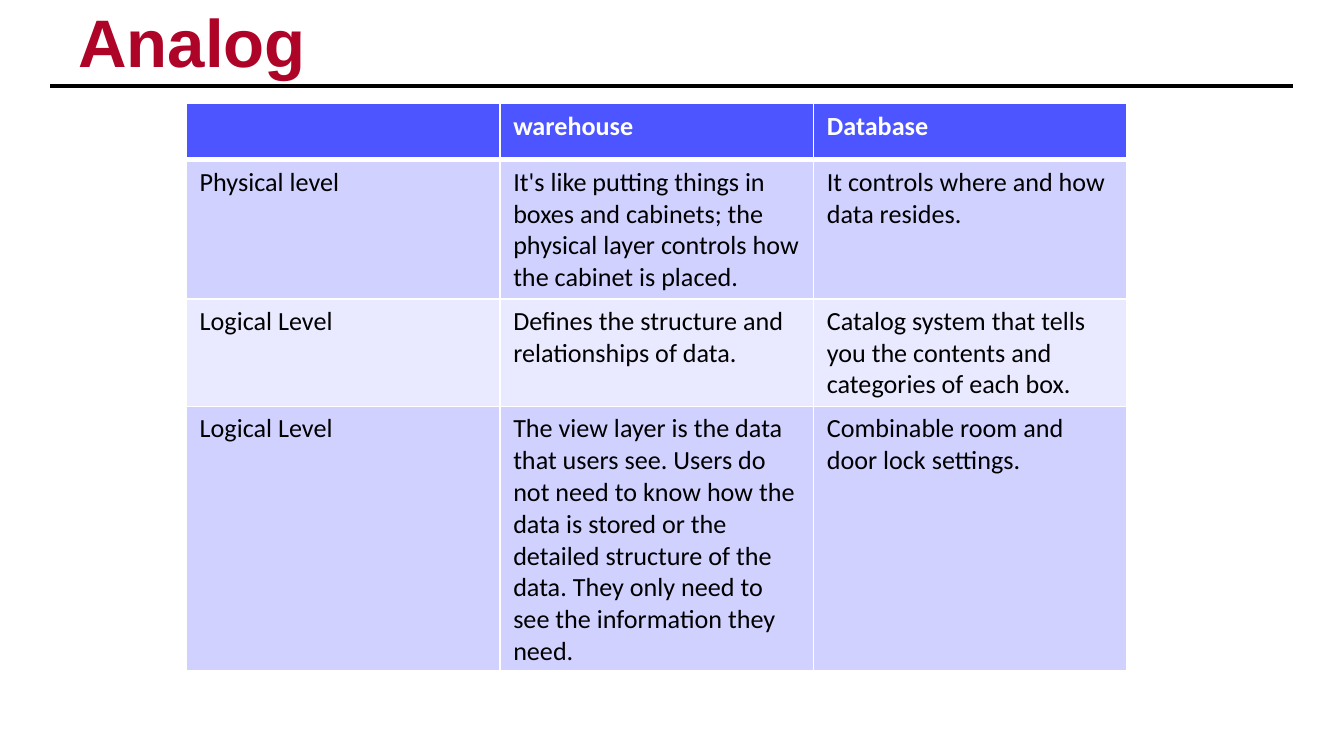
from lxml import etree
from pptx import Presentation
from pptx.dml.color import RGBColor
from pptx.enum import shapes, text
from pptx.oxml import ns
from pptx.util import Cm, Pt

HEADER_FILL = "4C55FF"
BAND_FILLS = ("D0D1FF", "E9E9FF")
ROWS = [
    ("", "warehouse", "Database"),
    ("Physical level",
     "It's like putting things in boxes and cabinets; the physical layer controls how the cabinet is placed.",
     "It controls where and how data resides."),
    ("Logical Level",
     "Defines the structure and relationships of data.",
     "Catalog system that tells you the contents and categories of each box."),
    ("Logical Level",
     "The view layer is the data that users see. Users do not need to know how the data is stored "
     "or the detailed structure of the data. They only need to see the information they need.",
     "Combinable room and door lock settings."),
]


def color(value):
    """Turn a hex string into a colour."""
    return RGBColor.from_string(value)


def write_text(frame, content, font="Calibri", size=14, fill="000000", bold=False, spacing=None):
    """Write one formatted paragraph into a text frame."""
    paragraph = frame.paragraphs[0]
    paragraph.line_spacing = spacing
    paragraph.font.size = Pt(size)
    if content:
        run = paragraph.add_run()
        run.text = content
        run.font.name = font
        run.font.size = Pt(size)
        run.font.bold = bold
        run.font.color.rgb = color(fill)


def add_title(slide, content):
    """Add the slide heading."""
    box = slide.shapes.add_textbox(Cm(1.4), Cm(0.25), Cm(22.63), Cm(1.25))
    frame = box.text_frame
    frame.word_wrap = True
    frame.vertical_anchor = text.MSO_ANCHOR.BOTTOM
    frame.margin_left = frame.margin_right = frame.margin_top = Cm(0.08)
    frame.margin_bottom = 0
    write_text(frame, content, font="Arial", size=36, fill="AE0428", bold=True, spacing=0.7)


def add_rule(slide):
    """Add the line under the heading."""
    rule = slide.shapes.add_connector(
        shapes.MSO_CONNECTOR.STRAIGHT, Cm(0.95), Cm(1.63), Cm(24.43), Cm(1.63))
    rule.line.color.rgb = color("000000")
    rule.line.width = Pt(2)
    etree.SubElement(rule._element.spPr, ns.qn("a:effectLst"))


def add_borders(cell, top=1, bottom=1):
    """Give a cell white borders with the given widths in points."""
    properties = cell._tc.get_or_add_tcPr()
    for side, width in (("L", 1), ("R", 1), ("T", top), ("B", bottom)):
        line = etree.SubElement(properties, ns.qn(f"a:ln{side}"), w=str(Pt(width)))
        fill = etree.SubElement(line, ns.qn("a:solidFill"))
        etree.SubElement(fill, ns.qn("a:srgbClr"), val="FFFFFF")


def add_comparison(slide, rows):
    """Add the table that compares a warehouse with a database."""
    frame = slide.shapes.add_table(
        len(rows), len(rows[0]), Cm(3.52), Cm(1.96), Cm(17.78), Cm(4.24))
    for row_index, row in enumerate(rows):
        is_header = row_index == 0
        for column_index, content in enumerate(row):
            cell = frame.table.cell(row_index, column_index)
            add_borders(cell, top=3 if row_index == 1 else 1, bottom=3 if is_header else 1)
            cell.fill.solid()
            cell.fill.fore_color.rgb = color(
                HEADER_FILL if is_header else BAND_FILLS[(row_index - 1) % 2])
            write_text(cell.text_frame, content, bold=is_header,
                       fill="FFFFFF" if is_header else "000000")


def main():
    """Build and save the slide."""
    presentation = Presentation()
    presentation.slide_width = Cm(25.4)
    presentation.slide_height = Cm(14.29)
    slide = presentation.slides.add_slide(presentation.slide_layouts[6])
    add_rule(slide)
    add_title(slide, "Analog")
    add_comparison(slide, ROWS)
    presentation.save("out.pptx")


if __name__ == "__main__":
    main()
